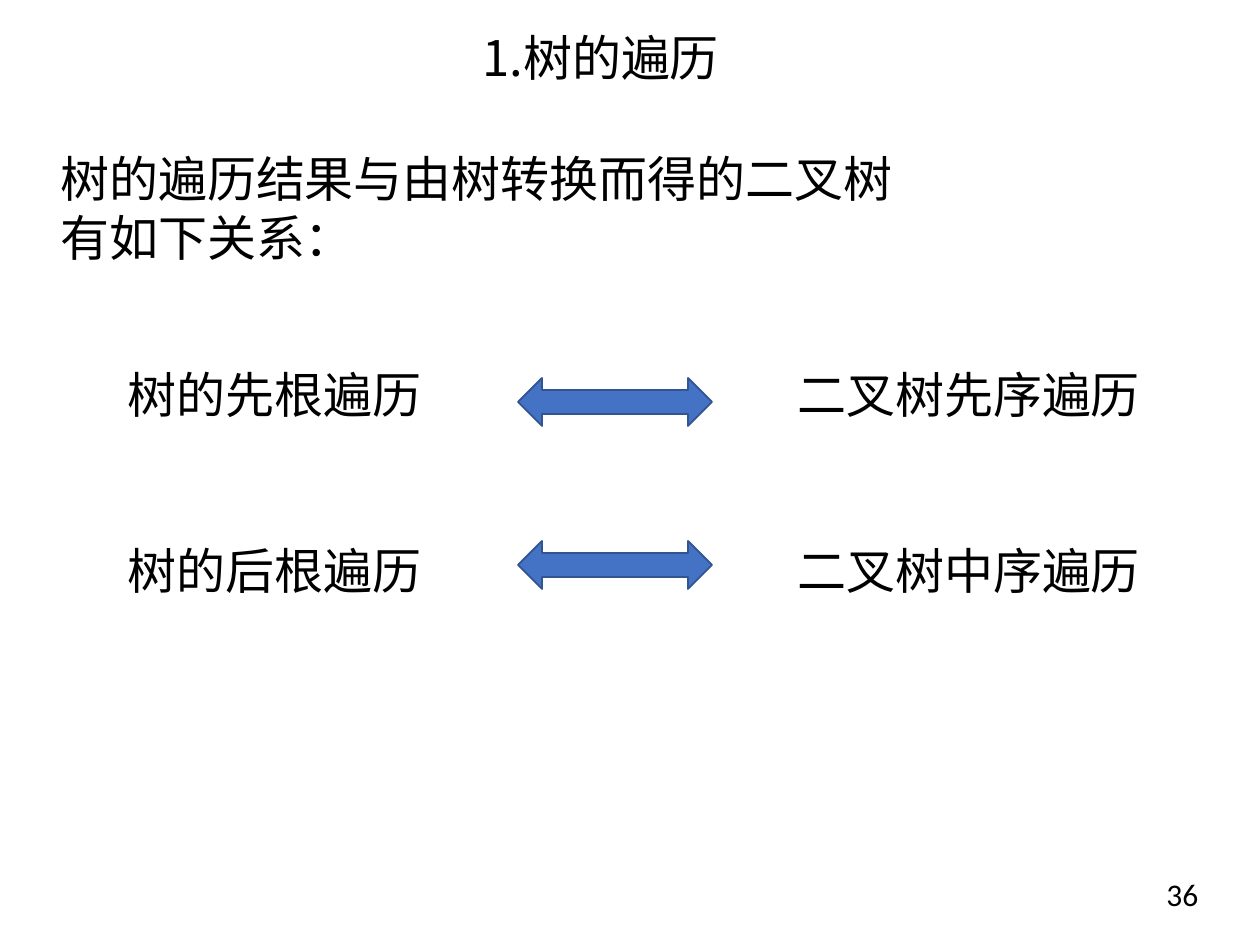
from lxml import etree
from pptx import Presentation
from pptx import util as u
from pptx.dml.color import RGBColor
from pptx.enum import shapes, text
from pptx.oxml.ns import qn

PX = u.Inches(1) / 126
CJK_FONT = "Noto Sans CJK SC"
ROW_GAP = 67  # points between the two rows of traversal names


def px(length):
    return u.Emu(round(length * PX))


def color(value):
    return RGBColor.from_string(value)


def add_text(slide, box, lines, font=CJK_FONT, size=28, gap=0):
    """Add a text box with one paragraph per line and a gap in points between them."""
    shape = slide.shapes.add_textbox(*map(px, box))
    frame = shape.text_frame
    frame.word_wrap = True
    frame.vertical_anchor = text.MSO_ANCHOR.TOP
    frame.text = "\n".join(lines)
    for index, paragraph in enumerate(frame.paragraphs):
        if index:
            paragraph.space_before = u.Pt(gap)
        for run in paragraph.runs:
            run.font.name = font
            run.font.size = u.Pt(size)
            run.font.color.rgb = color("000000")
            east_asian = etree.Element(qn("a:ea"), typeface=font)
            run.font._element.find(qn("a:latin")).addnext(east_asian)


def add_double_arrow(slide, box):
    arrow = slide.shapes.add_shape(shapes.MSO_SHAPE.LEFT_RIGHT_ARROW, *map(px, box))
    arrow.shadow.inherit = False
    arrow.fill.solid()
    arrow.fill.fore_color.rgb = color("4472C4")
    arrow.line.color.rgb = color("325491")
    arrow.line.width = u.Pt(1)


def main():
    presentation = Presentation()
    presentation.slide_width = px(1260)
    presentation.slide_height = px(945)
    slide = presentation.slides.add_slide(presentation.slide_layouts[6])

    add_text(slide, (470, 21, 412, 72), ["1.树的遍历"])
    add_text(slide, (785, 358, 369, 251), ["二叉树先序遍历", "二叉树中序遍历"], gap=ROW_GAP)
    add_text(slide, (115, 358, 345, 251), ["树的先根遍历", "树的后根遍历"], gap=ROW_GAP)
    for top in (378, 541):
        add_double_arrow(slide, (518, top, 194, 48))
    add_text(slide, (48, 142, 896, 131), ["树的遍历结果与由树转换而得的二叉树有如下关系："])
    add_text(slide, (1154, 869, 106, 50), ["36"], font="Calibri", size=18)

    presentation.save("out.pptx")


if __name__ == "__main__":
    main()
